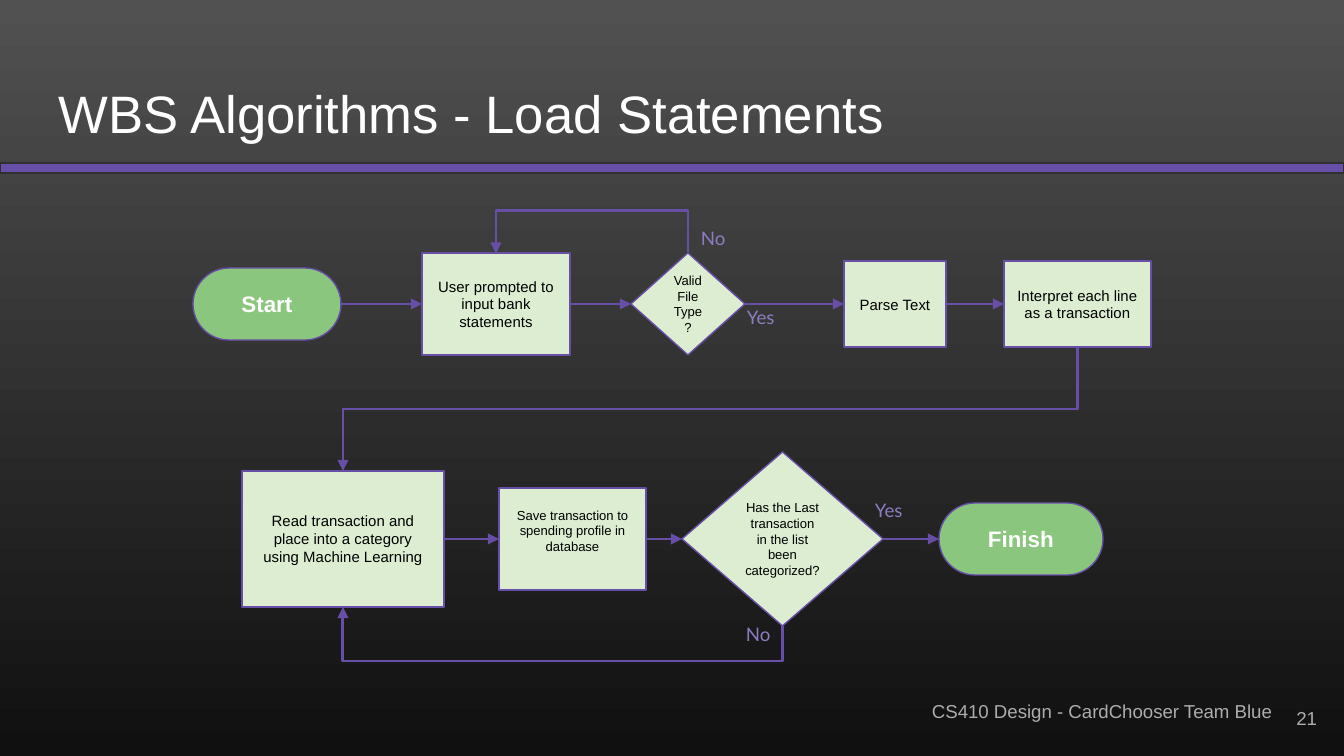
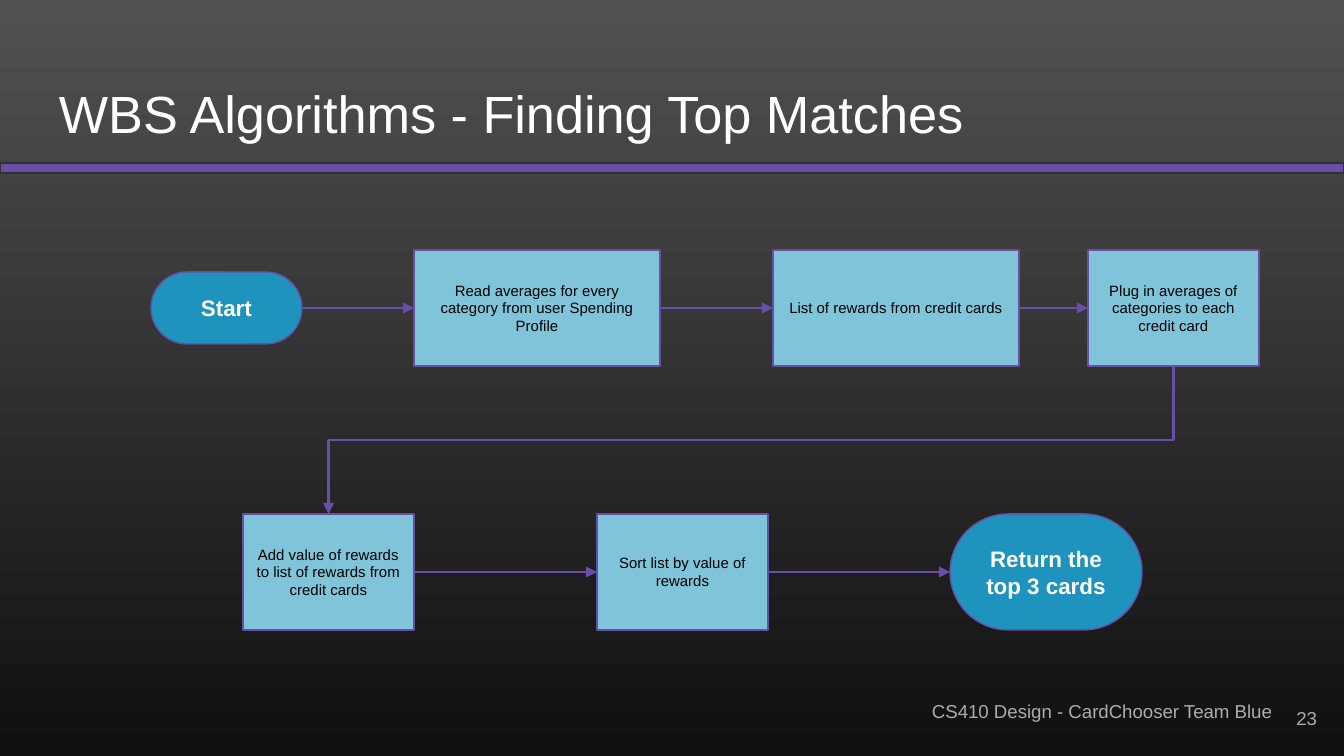
from dataclasses import dataclass
from itertools import pairwise
from typing import Any

import pptx
import pptx.dml.color
import pptx.enum.shapes
import pptx.enum.text
import pptx.oxml
import pptx.oxml.ns
import pptx.util

SHAPE = pptx.enum.shapes.MSO_SHAPE
CONNECTOR = pptx.enum.shapes.MSO_CONNECTOR
ALIGN = pptx.enum.text.PP_ALIGN
ANCHOR = pptx.enum.text.MSO_ANCHOR

SLIDE_W, SLIDE_H = 1344, 756
EMU_PER_PX = 9144000 / SLIDE_W
INSET = 13
TOP, LEFT, BOTTOM, RIGHT = range(4)  # connection sites of a node
FOOTER = "CS410 Design - CardChooser Team Blue"


@dataclass(frozen=True)
class Theme:
    font: str = "Arial"
    label_font: str = "Lato"
    bg_top: str = "515151"
    bg_bottom: str = "101010"
    accent: str = "674EA7"
    band_line: str = "303030"
    label: str = "8E7CC3"
    muted: str = "ADADAD"
    light: str = "FFFFFF"
    dark: str = "000000"
    small_pt: float = 10
    terminal_pt: float = 12
    step_pt: float = 8
    dense_pt: float = 7
    outline_pt: float = 0.75
    arrow_pt: float = 1.5


THEME = Theme()


@dataclass(frozen=True)
class Style:
    size: float
    color: str
    font: str = THEME.font
    bold: bool = False
    align: Any = ALIGN.LEFT
    anchor: Any = ANCHOR.TOP


TERMINAL = Style(THEME.terminal_pt, THEME.light, bold=True, align=ALIGN.CENTER, anchor=ANCHOR.MIDDLE)
STEP = Style(THEME.step_pt, THEME.dark, align=ALIGN.CENTER, anchor=ANCHOR.MIDDLE)
DENSE = Style(THEME.dense_pt, THEME.dark, align=ALIGN.CENTER, anchor=ANCHOR.MIDDLE)
LABEL = Style(THEME.small_pt, THEME.label, font=THEME.label_font)
SMALL = Style(THEME.small_pt, THEME.muted)
NUMBER = Style(THEME.small_pt, THEME.muted, align=ALIGN.RIGHT, anchor=ANCHOR.MIDDLE)


@dataclass(frozen=True)
class Node:
    key: str
    text: str
    left: int
    width: int
    height: int
    shape: Any = SHAPE.RECTANGLE
    style: Style = STEP
    lift: int = 0  # extra bottom inset that raises the text


@dataclass(frozen=True)
class Row:
    center_y: int
    nodes: tuple[Node, ...]


@dataclass(frozen=True)
class Turn:
    """An elbow arrow running to the left along the height via_y."""
    start: str
    start_site: int
    end: str
    end_site: int
    via_y: int


@dataclass(frozen=True)
class Label:
    text: str
    left: int
    top: int
    width: int = 98


@dataclass(frozen=True)
class Flow:
    title: str
    title_pt: float
    number: int
    step_fill: str
    terminal_fill: str
    rows: tuple[Row, ...]
    turns: tuple[Turn, ...]
    labels: tuple[Label, ...] = ()


def terminal(key: str, text: str, left: int, width: int, height: int = 72) -> Node:
    return Node(key, text, left, width, height, SHAPE.ROUNDED_RECTANGLE, TERMINAL)


def decision(key: str, text: str, left: int, width: int, height: int) -> Node:
    return Node(key, text, left, width, height, SHAPE.FLOWCHART_DECISION, DENSE)


FLOWS = (
    Flow(
        "WBS Algorithms - Load Statements", 28.2, 21, "DCEDD2", "8AC67D",
        rows=(
            Row(304, (
                terminal("start", "Start", 193, 148),
                Node("prompt", "User prompted to input bank statements", 422, 148, 102),
                decision("valid", "Valid File Type?", 631, 114, 102),
                Node("parse", "Parse Text", 844, 102, 86),
                Node("interpret", "Interpret each line as a transaction", 1004, 147, 86),
            )),
            Row(539, (
                Node("read", "Read transaction and place into a category using Machine Learning",
                     242, 202, 136),
                Node("save", "Save transaction to spending profile in database",
                     499, 147, 102, style=DENSE, lift=17),
                decision("last", "Has the Last transaction in the list been categorized?",
                         682, 201, 174),
                terminal("finish", "Finish", 939, 164),
            )),
        ),
        turns=(
            Turn("valid", TOP, "prompt", TOP, 211),
            Turn("interpret", BOTTOM, "read", TOP, 409),
            Turn("last", BOTTOM, "read", BOTTOM, 661),
        ),
        labels=(
            Label("No", 688, 216, 69),
            Label("Yes", 734, 295),
            Label("Yes", 862, 488),
            Label("No", 733, 612),
        ),
    ),
    Flow(
        "WBS Algorithms - Finding Top Matches", 28, 23, "7FC4D9", "1E93BD",
        rows=(
            Row(308, (
                terminal("start", "Start", 151, 151),
                Node("averages", "Read averages for every category from user Spending Profile",
                     414, 246, 116),
                Node("rewards", "List of rewards from credit cards", 773, 246, 116),
                Node("plug", "Plug in averages of categories to each credit card",
                     1088, 171, 116),
            )),
            Row(572, (
                Node("add", "Add value of rewards to list of rewards from credit cards",
                     243, 171, 116),
                Node("sort", "Sort list by value of rewards", 597, 171, 116),
                terminal("return", "Return the top 3 cards", 950, 192, 116),
            )),
        ),
        turns=(Turn("plug", BOTTOM, "add", TOP, 440),),
    ),
)


def px(n: float) -> pptx.util.Emu:
    return pptx.util.Emu(round(n * EMU_PER_PX))


def rgb(value: str) -> pptx.dml.color.RGBColor:
    return pptx.dml.color.RGBColor.from_string(value)


def write(s: Any, text: str, style: Style, lift: int = 0) -> None:
    tf = s.text_frame
    tf.text = text
    tf.word_wrap = True
    tf.vertical_anchor = style.anchor
    tf.margin_left = tf.margin_right = tf.margin_top = px(INSET)
    tf.margin_bottom = px(INSET + lift)
    for p in tf.paragraphs:
        p.alignment = style.align
        for r in p.runs:
            r.font.name = style.font
            r.font.size = pptx.util.Pt(style.size)
            r.font.bold = style.bold
            r.font.color.rgb = rgb(style.color)


def add_text(sp: Any, text: str, box: tuple[int, int, int, int], style: Style) -> None:
    write(sp.add_textbox(*map(px, box)), text, style)


def add_filled(sp: Any, kind: Any, box: tuple[float, ...], fill: str, line: str) -> Any:
    s = sp.add_shape(kind, *map(px, box))
    s.shadow.inherit = False
    s.fill.solid()
    s.fill.fore_color.rgb = rgb(fill)
    s.line.color.rgb = rgb(line)
    s.line.width = pptx.util.Pt(THEME.outline_pt)
    return s


def add_frame(s: Any, flow: Flow) -> None:
    """Draw the background, band, title and footer that every slide shares."""
    fill = s.background.fill
    fill.gradient()
    fill.gradient_angle = 270
    for stop, color, position in zip(fill.gradient_stops, (THEME.bg_top, THEME.bg_bottom), (0, 1)):
        stop.color.rgb = rgb(color)
        stop.position = position
    sp = s.shapes
    add_filled(sp, SHAPE.RECTANGLE, (0, 163, SLIDE_W, 10), THEME.accent, THEME.band_line)
    add_text(sp, FOOTER, (919, 689, 425, 50), SMALL)
    add_text(sp, flow.title, (46, 66, 1252, 91),
             Style(flow.title_pt, THEME.light, anchor=ANCHOR.BOTTOM))
    add_text(sp, str(flow.number), (1249, 689, 81, 58), NUMBER)


def add_node(sp: Any, node: Node, center_y: int, flow: Flow) -> Any:
    fill = flow.terminal_fill if node.style is TERMINAL else flow.step_fill
    box = (node.left, center_y - node.height / 2, node.width, node.height)
    s = add_filled(sp, node.shape, box, fill, THEME.accent)
    if node.shape == SHAPE.ROUNDED_RECTANGLE:
        s.adjustments[0] = 0.5
    write(s, node.text, node.style, node.lift)
    return s


def add_arrow(sp: Any, kind: Any, start: Any, start_site: int, end: Any, end_site: int) -> Any:
    c = sp.add_connector(kind, 0, 0, 0, 0)
    c.begin_connect(start, start_site)
    c.end_connect(end, end_site)
    c.line.color.rgb = rgb(THEME.accent)
    c.line.width = pptx.util.Pt(THEME.arrow_pt)
    tail = pptx.oxml.parse_xml(f'<a:tailEnd {pptx.oxml.ns.nsdecls("a")} type="triangle"/>')
    c.line._get_or_add_ln().append(tail)
    c._element.spPr.append(pptx.oxml.parse_xml(f'<a:effectLst {pptx.oxml.ns.nsdecls("a")}/>'))
    return c


def add_turn(sp: Any, turn: Turn, nodes: dict[str, Any]) -> None:
    """Turn an elbow a quarter clockwise so that it leaves and arrives vertically."""
    c = add_arrow(sp, CONNECTOR.ELBOW, nodes[turn.start], turn.start_site,
                  nodes[turn.end], turn.end_site)
    x1, y1, x2, y2 = c.begin_x, c.begin_y, c.end_x, c.end_y
    drop = (y2 - y1) or px(1)
    width, height = abs(drop), x1 - x2
    c.width, c.height = width, height
    c.left = (x1 + x2 - width) // 2
    c.top = (y1 + y2 - height) // 2
    spPr = c._element.spPr
    xfrm = spPr.find(pptx.oxml.ns.qn("a:xfrm"))
    xfrm.set("rot", str(90 * 60000))
    xfrm.set("flipH", str(int(drop < 0)))
    xfrm.set("flipV", "0")
    bend = round((px(turn.via_y) - y1) / drop * 100000)
    geom = spPr.find(pptx.oxml.ns.qn("a:prstGeom"))
    for old in list(geom):
        geom.remove(old)
    geom.append(pptx.oxml.parse_xml(
        f'<a:avLst {pptx.oxml.ns.nsdecls("a")}><a:gd name="adj1" fmla="val {bend}"/></a:avLst>'))


def add_flow(prs: Any, flow: Flow) -> None:
    s = prs.slides.add_slide(prs.slide_layouts[6])
    add_frame(s, flow)
    sp = s.shapes
    nodes = {node.key: add_node(sp, node, row.center_y, flow)
             for row in flow.rows for node in row.nodes}
    for row in flow.rows:
        for a, b in pairwise(row.nodes):
            add_arrow(sp, CONNECTOR.STRAIGHT, nodes[a.key], RIGHT, nodes[b.key], LEFT)
    for turn in flow.turns:
        add_turn(sp, turn, nodes)
    for label in flow.labels:
        add_text(sp, label.text, (label.left, label.top, label.width, 50), LABEL)


def main() -> None:
    prs = pptx.Presentation()
    prs.slide_width, prs.slide_height = px(SLIDE_W), px(SLIDE_H)
    for flow in FLOWS:
        add_flow(prs, flow)
    prs.save("out.pptx")


if __name__ == "__main__":
    main()
